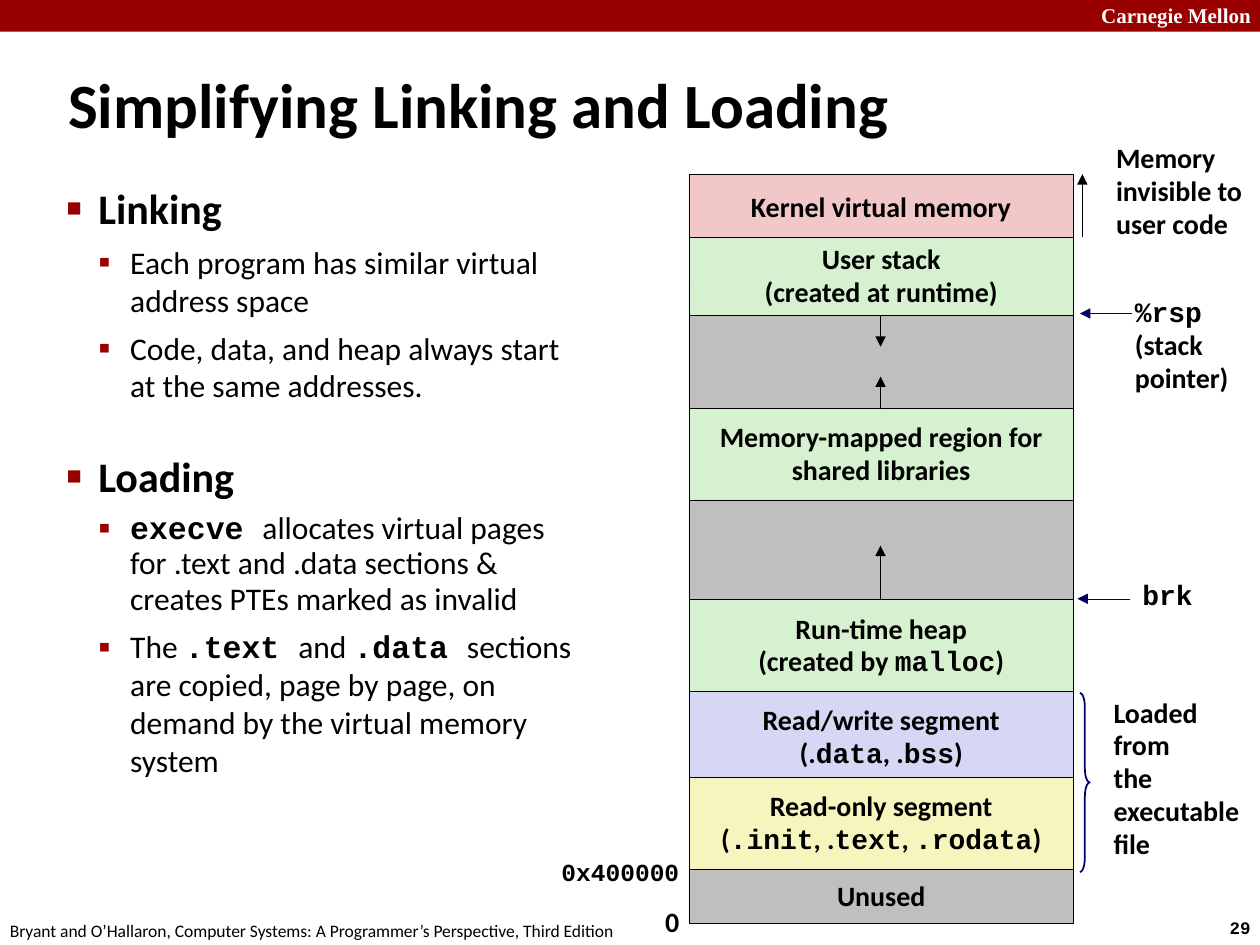
from dataclasses import dataclass

from lxml import etree
from pptx import Presentation
from pptx import util as u
from pptx.dml.color import RGBColor
from pptx.enum import shapes, text
from pptx.oxml import ns

SANS, MONO = "Calibri", "Courier New"
BLACK, WHITE, RED, NAVY = "000000", "FFFFFF", "990000", "000066"
GREY, GREEN = "BFBFBF", "D5F1CF"
STACK_LEFT, STACK_WIDTH = 13.89, 7.75
STACK_MID = 17.75


@dataclass
class Region:
    top: float
    height: float
    fill: str
    lines: tuple = ()


@dataclass
class Label:
    left: float
    top: float
    width: float
    height: float
    lines: tuple
    size: int = 16


@dataclass
class Arrow:
    x1: float
    y1: float
    x2: float
    y2: float
    color: str = BLACK


@dataclass
class Item:
    text: str
    level: int
    before: float
    spacing: float = 1.0


REGIONS = [
    Region(3.51, 1.35, "F1C7C7", ("Kernel virtual memory",)),
    Region(5.72, 2.51, GREY),
    Region(4.78, 1.57, GREEN, ("User stack", "(created at runtime)")),
    Region(8.23, 1.85, GREEN, ("Memory-mapped region for", "shared libraries")),
    Region(10.08, 2.01, GREY),
    Region(12.09, 1.85, GREEN, ("Run-time heap", "(created by `malloc`)")),
    Region(13.94, 1.85, "D6D6F5", ("Read/write segment", "(.`data`, .`bss`)")),
    Region(15.67, 1.85, "F6F5BD",
           ("Read-only segment", "(`.init`, .`text`, `.rodata`)")),
    Region(17.53, 1.09, GREY, ("Unused",)),
]

LABELS = [
    Label(13.16, 18.14, 0.79, 0.94, ("0",)),
    Label(11.07, 17.2, 2.9, 0.84, ("`0x400000`",), 14),
    Label(22.63, 5.87, 2.41, 2.24, ("`%rsp`", "(stack", "pointer)")),
    Label(22.25, 2.74, 3.2, 2.26, ("Memory", "invisible to", "user code")),
    Label(22.78, 11.58, 1.52, 0.91, ("`brk`",)),
    Label(22.2, 13.92, 3.2, 3.61,
          ("Loaded", "from", "the", "executable", "file")),
]

ARROWS = [
    Arrow(STACK_MID, 12.07, STACK_MID, 11),
    Arrow(STACK_MID, 8.25, STACK_MID, 7.59),
    Arrow(STACK_MID, 6.35, STACK_MID, 6.99),
    Arrow(21.82, 4.78, 21.82, 3.51),
    Arrow(22.83, 6.32, 21.77, 6.32, NAVY),
    Arrow(22.78, 12.07, 21.72, 12.07, NAVY),
]

ITEMS = [
    Item("Linking", 0, 0),
    Item("Each program has similar virtual address space", 1, 5.6),
    Item("Code, data, and heap always start at the same addresses.", 1, 5.6),
    Item("Loading", 0, 26.6),
    Item("`execve `allocates virtual pages for .text and .data sections "
         "& creates PTEs marked as invalid", 1, 5.6, 0.94),
    Item("The `.text `and `.data `sections are copied, page by page, "
         "on demand by the virtual memory system", 1, 5.6),
]


def rgb(value: str) -> RGBColor:
    return RGBColor.from_string(value)


def box(left: float, top: float, width: float, height: float) -> tuple:
    return tuple(u.Cm(v) for v in (left, top, width, height))


def place(sp, *bounds: float) -> None:
    sp.left, sp.top, sp.width, sp.height = box(*bounds)


def write(p, content: str, *, size: float = 16, font: str = SANS,
          color: str = BLACK, bold: bool = True) -> None:
    for i, part in enumerate(content.split("`")):
        if part:
            mono = i % 2 == 1
            r = p.add_run()
            r.text = part
            r.font.size = u.Pt(size)
            r.font.name = MONO if mono else font
            r.font.bold = bold or mono
            r.font.color.rgb = rgb(color)


def write_lines(tf, lines: tuple, size: float, align) -> None:
    for i, line in enumerate(lines):
        p = tf.add_paragraph() if i else tf.paragraphs[0]
        p.alignment = align
        p.line_spacing = 0.94 if line.startswith("`") else 0.98
        write(p, line, size=size)


def add_bullet(p, level: int) -> None:
    char, percent = (("■", 60), ("▪", 110))[level]
    pPr = p._p.get_or_add_pPr()
    pPr.set("marL", str(u.Cm(0.64 * (level + 1))))
    pPr.set("indent", str(u.Cm(-0.64)))
    clr = etree.SubElement(pPr, ns.qn("a:buClr"))
    etree.SubElement(clr, ns.qn("a:srgbClr"), val=RED)
    etree.SubElement(pPr, ns.qn("a:buSzPct"), val=str(percent * 1000))
    etree.SubElement(pPr, ns.qn("a:buChar"), char=char)


def add_item(p, item: Item) -> None:
    p.level = item.level
    add_bullet(p, item.level)
    p.space_before = u.Pt(item.before)
    p.line_spacing = item.spacing
    write(p, item.text, size=18 if item.level else 24, bold=item.level == 0)


def add_region(s, region: Region) -> None:
    sp = s.shapes.add_shape(
        shapes.MSO_SHAPE.RECTANGLE,
        *box(STACK_LEFT, region.top, STACK_WIDTH, region.height))
    sp.shadow.inherit = False
    sp.fill.solid()
    sp.fill.fore_color.rgb = rgb(region.fill)
    sp.line.color.rgb = rgb(BLACK)
    sp.line.width = u.Pt(0.25)
    tf = sp.text_frame
    tf.word_wrap = False
    tf.vertical_anchor = text.MSO_ANCHOR.MIDDLE
    write_lines(tf, region.lines, 16, text.PP_ALIGN.CENTER)


def add_label(s, label: Label) -> None:
    sp = s.shapes.add_textbox(
        *box(label.left, label.top, label.width, label.height))
    tf = sp.text_frame
    tf.word_wrap = False
    tf.auto_size = text.MSO_AUTO_SIZE.SHAPE_TO_FIT_TEXT
    write_lines(tf, label.lines, label.size, text.PP_ALIGN.LEFT)


def add_arrow(s, a: Arrow) -> None:
    sp = s.shapes.add_connector(shapes.MSO_CONNECTOR.STRAIGHT,
                                *box(a.x1, a.y1, a.x2, a.y2))
    sp.line.color.rgb = rgb(a.color)
    sp.line.width = u.Pt(0.25)
    etree.SubElement(sp.line._get_or_add_ln(), ns.qn("a:tailEnd"),
                     type="triangle")
    etree.SubElement(sp._element.spPr, ns.qn("a:effectLst"))


def add_brace(s) -> None:
    sp = s.shapes.add_shape(shapes.MSO_SHAPE.RIGHT_BRACE,
                            *box(21.77, 13.97, 0.2, 3.61))
    sp.shadow.inherit = False
    sp.adjustments[0] = 1.417
    sp.fill.background()
    sp.line.color.rgb = rgb(NAVY)
    sp.line.width = u.Pt(1)


def add_note(s, content: str, bounds: tuple, **fmt) -> None:
    tf = s.shapes.add_textbox(*box(*bounds)).text_frame
    tf.word_wrap = True
    write(tf.paragraphs[0], content, **fmt)


def add_frame(s) -> None:
    sp = s.shapes.add_shape(shapes.MSO_SHAPE.RECTANGLE, *box(0, 0, 25.4, 0.64))
    sp.shadow.inherit = False
    sp.fill.solid()
    sp.fill.fore_color.rgb = rgb(RED)
    sp.line.fill.background()
    add_note(s, "Carnegie Mellon", (21.95, -0.08, 3.63, 0.76), size=12,
             font="Times New Roman", color=WHITE)
    add_note(s, "29", (24.54, 18.36, 1.14, 0.69), size=10, font=MONO)
    add_note(s, "Bryant and O’Hallaron, Computer Systems: A Programmer’s "
             "Perspective, Third Edition", (-0.05, 18.42, 12.9, 0.69),
             size=10, bold=False)


def main() -> None:
    prs = Presentation()
    prs.slide_width, prs.slide_height = u.Cm(25.4), u.Cm(19.05)
    s = prs.slides.add_slide(prs.slide_layouts[1])
    add_frame(s)

    title, body = s.placeholders
    place(title, 1.12, 0.99, 23.01, 2.18)
    place(body, 1.09, 3.56, 11, 15.09)
    for sp in (title, body):
        sp.text_frame.auto_size = text.MSO_AUTO_SIZE.NONE
    title.text_frame.vertical_anchor = text.MSO_ANCHOR.MIDDLE
    p = title.text_frame.paragraphs[0]
    p.alignment = text.PP_ALIGN.LEFT
    write(p, "Simplifying Linking and Loading", size=36)

    tf = body.text_frame
    for i, item in enumerate(ITEMS):
        add_item(tf.add_paragraph() if i else tf.paragraphs[0], item)
    for region in REGIONS:
        add_region(s, region)
    for label in LABELS:
        add_label(s, label)
    for arrow in ARROWS:
        add_arrow(s, arrow)
    add_brace(s)
    prs.save("out.pptx")


if __name__ == "__main__":
    main()
